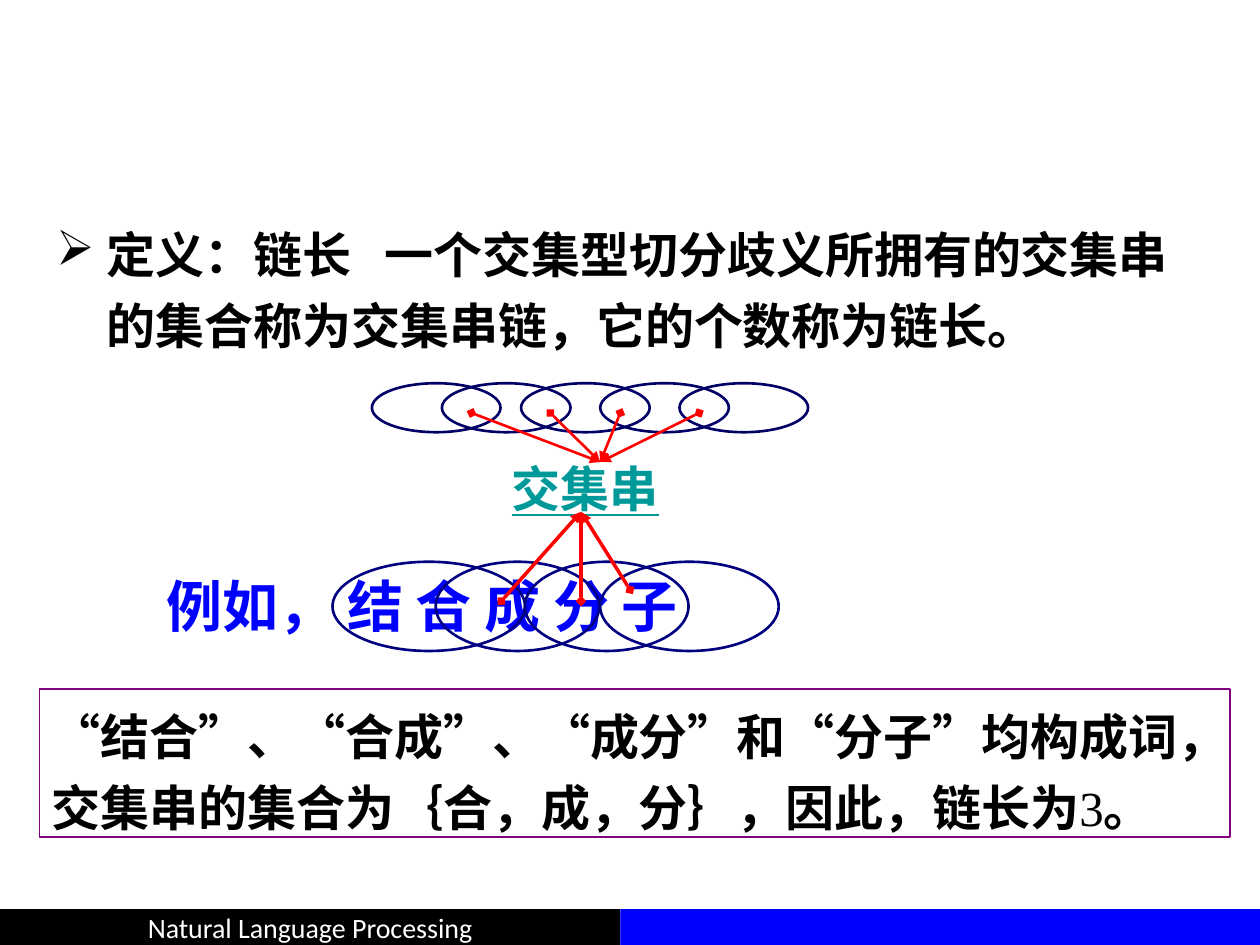
from lxml import etree
from pptx import Presentation
from pptx.dml.color import RGBColor
from pptx.enum import lang, shapes, text
from pptx.oxml import ns
from pptx.util import Pt

COLORS = {
    "black": "000000", "white": "FFFFFF", "blue": "0000FF", "red": "FF0000",
    "teal": "009999", "navy": "000066", "dark_blue": "000080", "purple": "800080",
}
CJK_FONT = "Noto Sans CJK SC"


def rgb(name):
    return RGBColor.from_string(COLORS[name])


def add_xml(parent, tag, **attrs):
    return etree.SubElement(parent, ns.qn(tag), attrs)


def add_shape(s, kind, box, fill=None, line=None, width=1.5):
    sp = s.shapes.add_shape(kind, *map(Pt, box))
    sp.shadow.inherit = False
    if fill:
        sp.fill.solid()
        sp.fill.fore_color.rgb = rgb(fill)
    else:
        sp.fill.background()
    if line:
        sp.line.color.rgb = rgb(line)
        sp.line.width = Pt(width)
    else:
        sp.line.fill.background()
    return sp


def add_rect(s, box, **style):
    return add_shape(s, shapes.MSO_SHAPE.RECTANGLE, box, **style)


def add_ellipse(s, box, line):
    return add_shape(s, shapes.MSO_SHAPE.OVAL, box, line=line)


def add_arrow(s, start, end, width):
    """Red arrow with a diamond at its start."""
    c = s.shapes.add_connector(shapes.MSO_CONNECTOR.STRAIGHT, *map(Pt, start + end))
    c.line.color.rgb = rgb("red")
    c.line.width = Pt(width)
    ln = c.line._get_or_add_ln()
    add_xml(ln, "a:headEnd", type="diamond")
    add_xml(ln, "a:tailEnd", type="triangle")
    add_xml(c._element.spPr, "a:effectLst")


def write(sp, runs, size, font, color, bold=True, align=text.PP_ALIGN.LEFT,
          anchor=text.MSO_ANCHOR.TOP, spacing=None, bullet=None, wrap=True):
    """Fill a shape with one paragraph."""
    tf = sp.text_frame
    tf.word_wrap = wrap
    tf.vertical_anchor = anchor
    p = tf.paragraphs[0]
    p.alignment = align
    if spacing:
        p.line_spacing = spacing
    if bullet:
        pPr = p._p.get_or_add_pPr()
        pPr.set("marL", str(Pt(29)))
        pPr.set("indent", str(-Pt(29)))
        add_xml(pPr, "a:buChar", char=bullet)
    p.font.name = font
    p.font.size = Pt(size)
    p.font.bold = bold
    p.font.color.rgb = rgb(color)
    add_xml(p.font._element, "a:ea", typeface=CJK_FONT)
    for words in runs:
        r = p.add_run()
        r.text = words
        if not words.isascii():
            r.font.language_id = lang.MSO_LANGUAGE_ID.SIMPLIFIED_CHINESE
    return p


def add_text(s, box, *args, **style):
    return write(s.shapes.add_textbox(*map(Pt, box)), *args, **style)


def add_footer(s):
    title = add_rect(s, (0, 519.5, 354.5, 20.5), fill="black")
    write(title, ["Natural Language Processing"], 16, "Calibri", "white", bold=False,
          align=text.PP_ALIGN.CENTER, anchor=text.MSO_ANCHOR.MIDDLE, wrap=False)
    add_rect(s, (354.5, 519.5, 365.5, 20.5), fill="blue")


def add_chain(s):
    """Overlapping ellipses whose intersections point to one label."""
    for left in [212.5] + [252.5 + 45.25 * i for i in range(4)]:
        add_ellipse(s, (left, 219, 73.5, 28), "navy")
    for x in (269.5, 314.5, 354.5, 399.5):
        add_arrow(s, (x, 236), (343, 264), 1.5)
    p = add_text(s, (275, 258.5, 119, 41), ["交集串"], 28, "Cabin", "teal",
                 align=text.PP_ALIGN.CENTER)
    p.font.underline = True


def add_example(s):
    add_text(s, (88, 315.5, 385, 53), ["例如， 结 合 成 分 子"], 32, CJK_FONT, "blue",
             spacing=1.2)
    for left, width in ((190, 110), (249, 93.5), (300, 93.5), (343, 102)):
        add_ellipse(s, (left, 321, width, 51), "dark_blue")
    for start in ((286.5, 343.5), (332, 343.5), (360, 337)):
        add_arrow(s, start, (332, 292.5), 2)


def main():
    prs = Presentation()
    prs.slide_width, prs.slide_height = Pt(720), Pt(540)
    s = prs.slides.add_slide(prs.slide_layouts[6])
    add_footer(s)
    add_chain(s)
    definition = add_rect(s, (25, 118, 661, 88.5), fill="white")
    write(definition,
          ["定义：链长   一个交集型切分歧义所拥有的交集串的集合称为交集串链，它的个数称为链长。"],
          28, "Cabin", "black", spacing=1.2, bullet="➢")
    conclusion = add_rect(s, (22.5, 393.5, 680.5, 85), line="purple", width=1)
    p = write(conclusion,
              ["“结合”、“合成”、“成分”和“分子”均构成词，交集串的集合为｛合，成，分｝，因此，链长为",
               "3", "。"],
              28, "Times New Roman", "black", spacing=1.2)
    p.runs[1].font.bold = False
    add_example(s)
    prs.save("out.pptx")


if __name__ == "__main__":
    main()
